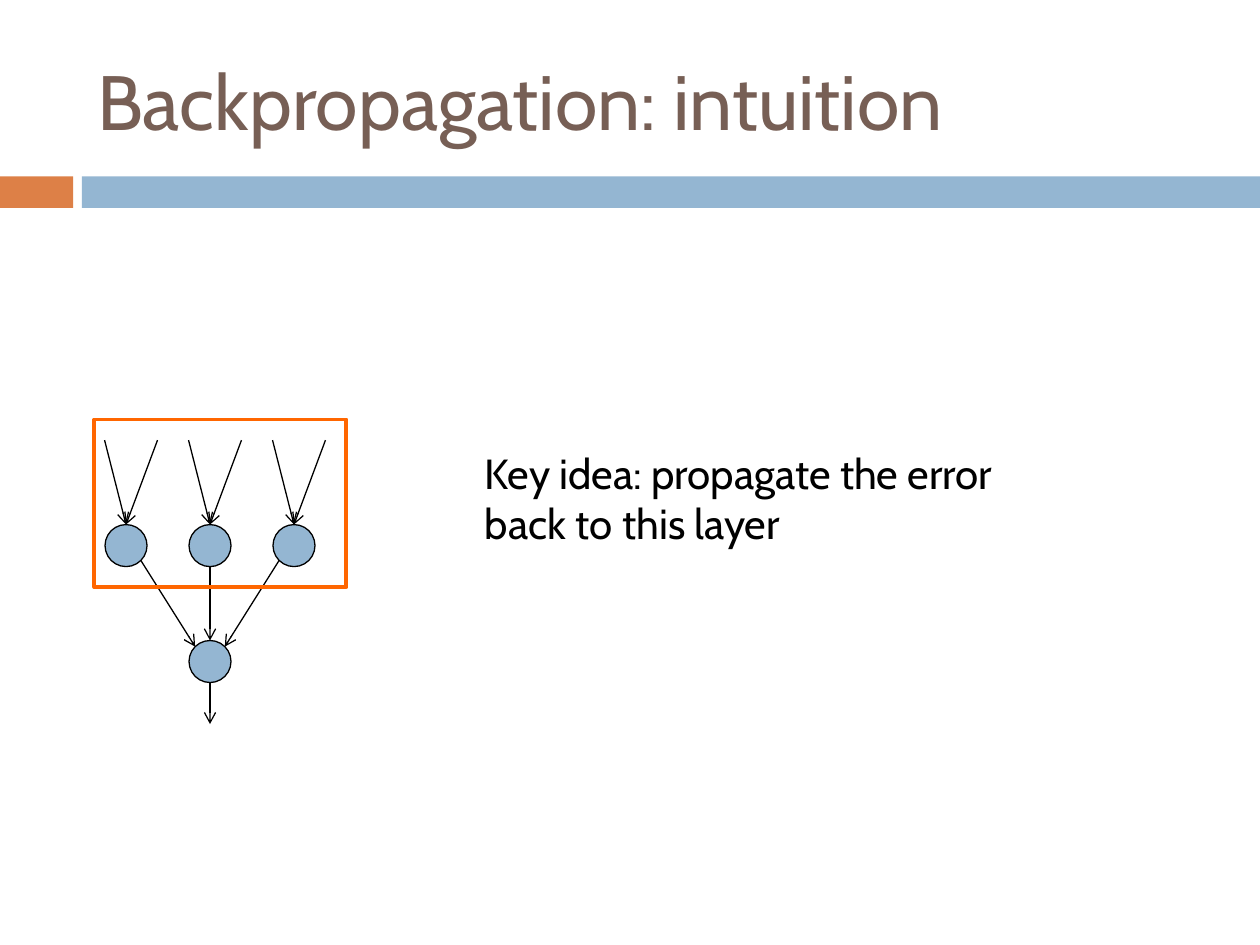
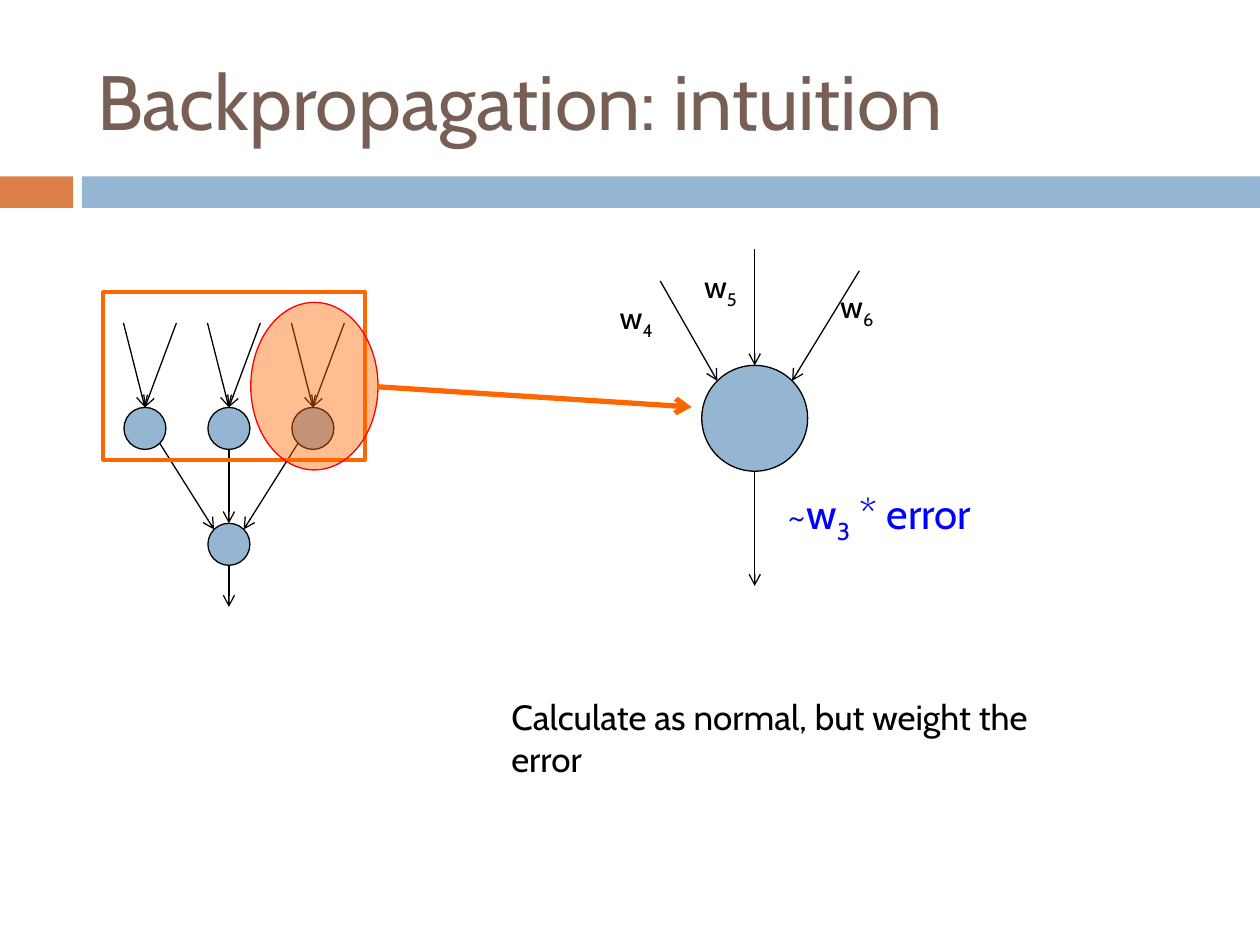
import math
from dataclasses import dataclass

from lxml import etree
from pptx import Presentation
from pptx.dml.color import RGBColor
from pptx.enum.shapes import MSO_CONNECTOR, MSO_SHAPE
from pptx.enum.text import MSO_ANCHOR, PP_ALIGN
from pptx.oxml.ns import qn
from pptx.util import Inches, Pt

RECTANGLE = MSO_SHAPE.RECTANGLE
OVAL = MSO_SHAPE.OVAL
STRAIGHT = MSO_CONNECTOR.STRAIGHT
MIDDLE = MSO_ANCHOR.MIDDLE
LEFT = PP_ALIGN.LEFT
TITLE_ONLY = 5


# Colours and type sizes
@dataclass(frozen=True)
class Theme:
    font: str = "Cabin"
    title: str = "775F55"
    accent: str = "DD8047"
    band: str = "94B6D2"
    ink: str = "000000"
    focus: str = "FF6600"
    focus_rim: str = "FF0000"
    error: str = "0000FF"
    title_size: int = 44
    key_size: int = 24
    note_size: int = 20
    weight_size: int = 18
    thin: float = 0.75
    frame: float = 2.25
    thick: float = 3


THEME = Theme()


@dataclass(frozen=True)
class Point:
    x: float
    y: float

    def shifted(self, dx: float, dy: float) -> "Point":
        return Point(self.x + dx, self.y + dy)


@dataclass(frozen=True)
class Box:
    left: float
    top: float
    width: float
    height: float

    def emu(self) -> tuple:
        return tuple(Inches(v) for v in (self.left, self.top, self.width, self.height))


@dataclass(frozen=True)
class Node:
    """A neuron, given by its centre and radius."""
    centre: Point
    radius: float

    def rim(self, degrees: float) -> Point:
        """Point on the outline, clockwise from the right-hand side."""
        angle = math.radians(degrees)
        return self.centre.shifted(self.radius * math.cos(angle),
                                   self.radius * math.sin(angle))

    def box(self) -> Box:
        corner = self.centre.shifted(-self.radius, -self.radius)
        return Box(corner.x, corner.y, 2 * self.radius, 2 * self.radius)


@dataclass(frozen=True)
class Label:
    """Text whose part between underscores is a subscript."""
    text: str
    box: Box
    size: int
    color: str = THEME.ink


RIGHT_SIDE, BOTTOM_RIGHT, BOTTOM, BOTTOM_LEFT = 0, 45, 90, 135
TOP_LEFT, TOP, TOP_RIGHT = 225, 270, 315

BANDS = ((Box(0, 1.4, 0.58, 0.25), THEME.accent),
         (Box(0.65, 1.4, 9.35, 0.25), THEME.band))
TITLE_BOX = Box(0.67, 0.25, 8.92, 1.08)

# Network proportions
NODE_RADIUS = 1 / 6
NODE_STEP = 2 / 3
LAYER_GAP = 0.92
FEED_RISE = 0.67
FEED_OFFSETS = (-0.17, 0.25)
OUTPUT_LENGTH = 0.33


def rgb(color: str) -> RGBColor:
    return RGBColor.from_string(color)


def add_figure(slide, kind, box: Box, fill=None, line=None,
               width: float = THEME.thin, opacity: int = 100):
    figure = slide.shapes.add_shape(kind, *box.emu())
    figure.shadow.inherit = False
    if fill:
        figure.fill.solid()
        figure.fill.fore_color.rgb = rgb(fill)
        if opacity < 100:
            tint = figure.fill._xPr.find(".//" + qn("a:srgbClr"))
            etree.SubElement(tint, qn("a:alpha"), val=str(opacity * 1000))
    else:
        figure.fill.background()
    if line:
        figure.line.color.rgb = rgb(line)
        figure.line.width = Pt(width)
    else:
        figure.line.fill.background()
    return figure


def add_arrow(slide, start: Point, end: Point, color: str = THEME.ink,
              width: float = THEME.thin) -> None:
    arrow = slide.shapes.add_connector(STRAIGHT, Inches(start.x), Inches(start.y),
                                       Inches(end.x), Inches(end.y))
    arrow.line.color.rgb = rgb(color)
    arrow.line.width = Pt(width)
    etree.SubElement(arrow.line._get_or_add_ln(), qn("a:tailEnd"), type="arrow")
    etree.SubElement(arrow._element.spPr, qn("a:effectLst"))


def add_node(slide, node: Node) -> None:
    add_figure(slide, OVAL, node.box(), THEME.band, THEME.ink)


def style_font(font, size: int, color: str) -> None:
    font.name = THEME.font
    font.size = Pt(size)
    font.color.rgb = rgb(color)


def add_label(slide, label: Label) -> None:
    frame = slide.shapes.add_textbox(*label.box.emu()).text_frame
    frame.word_wrap = True
    for index, part in enumerate(label.text.split("_")):
        if not part:
            continue
        run = frame.paragraphs[0].add_run()
        run.text = part
        style_font(run.font, label.size, label.color)
        if index % 2:
            run.font._element.set("baseline", "-25000")


def add_titled_slide(deck, title: str):
    """Slide with the shared title style and bands."""
    slide = deck.slides.add_slide(deck.slide_layouts[TITLE_ONLY])
    for box, color in BANDS:
        add_figure(slide, RECTANGLE, box, color)
    heading = slide.shapes.title
    heading.left, heading.top, heading.width, heading.height = TITLE_BOX.emu()
    frame = heading.text_frame
    frame.text = title
    frame.vertical_anchor = MIDDLE
    frame.paragraphs[0].alignment = LEFT
    style_font(frame.paragraphs[0].runs[0].font, THEME.title_size, THEME.title)
    return slide


def add_network(slide, first: Point) -> None:
    """Three hidden neurons feeding one output; first is the leftmost centre."""
    hidden = [Node(first.shifted(i * NODE_STEP, 0), NODE_RADIUS) for i in range(3)]
    output = Node(hidden[1].centre.shifted(0, LAYER_GAP), NODE_RADIUS)
    for node in (*hidden, output):
        add_node(slide, node)

    # Hidden layer to output
    joints = ((BOTTOM_RIGHT, TOP_LEFT), (BOTTOM, TOP), (BOTTOM_LEFT, TOP_RIGHT))
    for node, (leave, arrive) in zip(hidden, joints):
        add_arrow(slide, node.rim(leave), output.rim(arrive))

    # Inputs of the hidden layer
    for node in hidden:
        entry = node.rim(TOP)
        for offset in FEED_OFFSETS:
            add_arrow(slide, entry.shifted(offset, -FEED_RISE), entry)

    result = output.rim(BOTTOM)
    add_arrow(slide, result, result.shifted(0, OUTPUT_LENGTH))


def add_layer_frame(slide, box: Box) -> None:
    add_figure(slide, RECTANGLE, box, line=THEME.focus, width=THEME.frame)


def build_key_idea(deck) -> None:
    slide = add_titled_slide(deck, "Backpropagation: intuition")
    add_network(slide, Point(1, 4.33))
    add_layer_frame(slide, Box(0.75, 3.33, 2, 1.33))
    add_label(slide, Label("Key idea: propagate the error back to this layer",
                           Box(3.75, 3.5, 4.25, 0.91), THEME.key_size))


def build_weighted_error(deck) -> None:
    slide = add_titled_slide(deck, "Backpropagation: intuition")
    add_network(slide, Point(1.15, 3.4))
    add_layer_frame(slide, Box(0.82, 2.32, 2.08, 1.33))
    add_figure(slide, OVAL, Box(1.99, 2.4, 1.01, 1.33), THEME.focus,
               THEME.focus_rim, opacity=43)

    # Enlarged neuron with its inputs and output
    neuron = Node(Point(5.99, 3.32), 0.42)
    add_node(slide, neuron)
    add_arrow(slide, neuron.rim(BOTTOM), Point(5.99, 4.65))
    sources = ((Point(5.24, 2.23), TOP_LEFT), (Point(5.99, 1.98), TOP),
               (Point(6.82, 2.15), TOP_RIGHT))
    for source, side in sources:
        add_arrow(slide, source, neuron.rim(side))

    # Weights and error
    weights = (("w_4", 4.82, 2.32), ("w_5", 5.49, 2.07), ("w_6", 6.57, 2.23))
    for text, left, top in weights:
        add_label(slide, Label(text, Box(left, top, 0.67, 0.4), THEME.weight_size))
    add_label(slide, Label("~w_3_ * error", Box(6.15, 3.82, 1.93, 0.5),
                           THEME.key_size, THEME.error))

    add_arrow(slide, Point(3, 3.07), Point(5.49, 3.23), THEME.focus, THEME.thick)
    add_label(slide, Label("Calculate as normal, but weight the error",
                           Box(3.96, 5.47, 4.77, 0.44), THEME.note_size))


def main() -> None:
    deck = Presentation()
    deck.slide_width, deck.slide_height = Inches(10), Inches(7.5)
    build_key_idea(deck)
    build_weighted_error(deck)
    deck.save("out.pptx")


if __name__ == "__main__":
    main()
